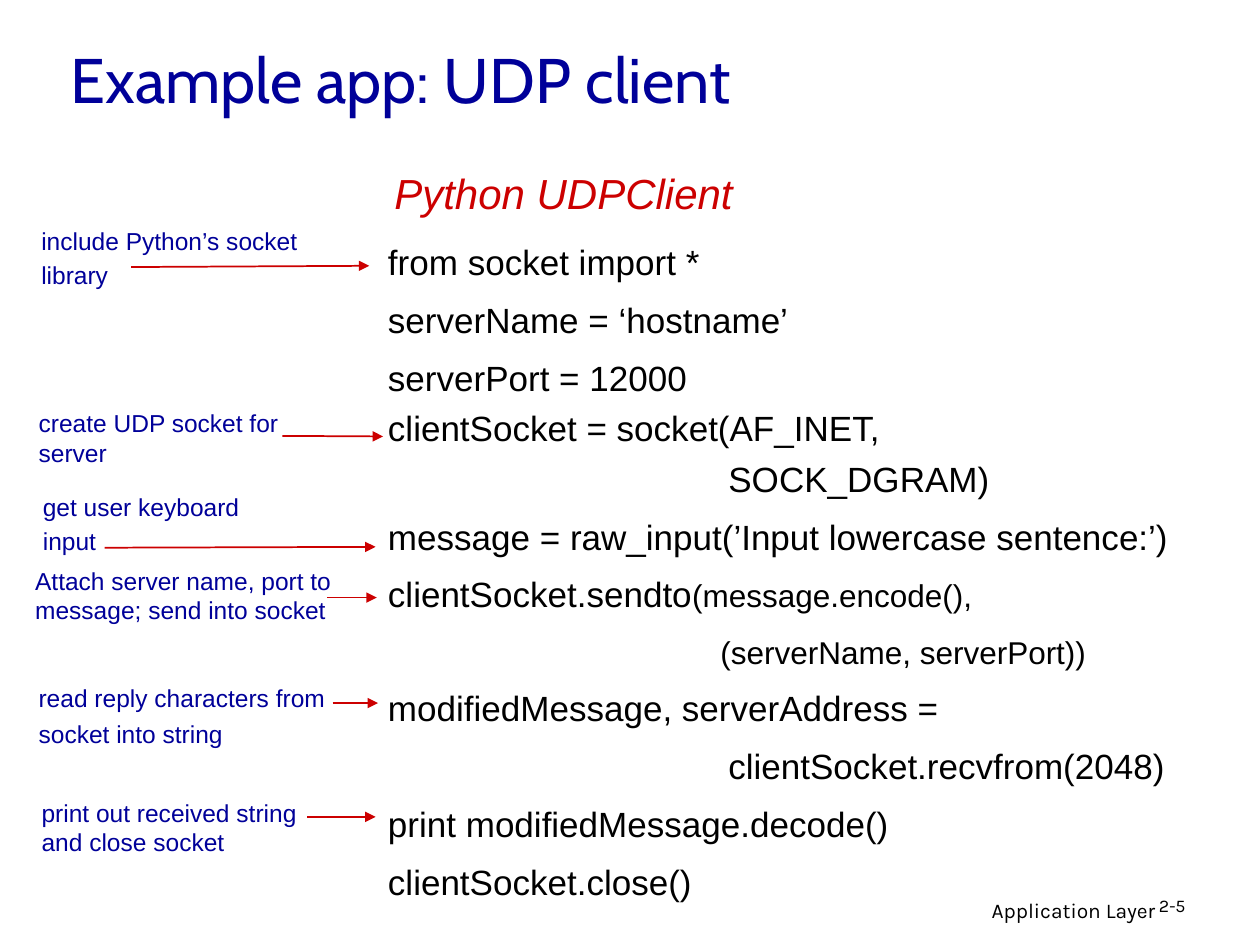
from dataclasses import dataclass

from lxml import etree
from pptx import Presentation
from pptx.dml import color
from pptx.enum import shapes, text
from pptx.oxml import ns
from pptx.util import Pt


@dataclass(frozen=True)
class Theme:
    navy: str = "000099"
    red: str = "CC0000"
    black: str = "000000"
    title_font: str = "Cabin"
    body_font: str = "Arial"
    footer_font: str = "Karla"
    title_size: float = 36
    heading_size: float = 24
    code_size: float = 20
    detail_size: float = 18
    note_size: float = 14
    footer_size: float = 12
    number_size: float = 10.2
    line_width: float = 1


class SlideBuilder:
    def __init__(self, presentation, theme):
        self.theme = theme
        self.slide = presentation.slides.add_slide(presentation.slide_layouts[5])

    def format_run(self, run, size, rgb, font, italic=False):
        run.font.size = Pt(size)
        run.font.name = font
        run.font.italic = italic
        run.font.color.rgb = color.RGBColor.from_string(rgb)

    def title(self, wording, left, top, width, height):
        shape = self.slide.shapes.title
        shape.left, shape.top = Pt(left), Pt(top)
        shape.width, shape.height = Pt(width), Pt(height)
        frame = shape.text_frame
        frame.text = wording
        frame.auto_size = text.MSO_AUTO_SIZE.NONE
        frame.vertical_anchor = text.MSO_ANCHOR.MIDDLE
        frame.paragraphs[0].alignment = text.PP_ALIGN.LEFT
        self.format_run(frame.paragraphs[0].runs[0], self.theme.title_size,
                        self.theme.navy, self.theme.title_font)

    def text_box(self, wording, box, size, rgb, font, before=0, spacing=None,
                 italic=False, align=text.PP_ALIGN.LEFT):
        shape = self.slide.shapes.add_textbox(*map(Pt, box))
        frame = shape.text_frame
        frame.text = wording
        frame.word_wrap = True
        for paragraph in frame.paragraphs:
            paragraph.alignment = align
            paragraph.space_before = Pt(before)
            if spacing:
                paragraph.line_spacing = spacing
            for run in paragraph.runs:
                self.format_run(run, size, rgb, font, italic)
        return frame

    def code(self, lines, box):
        theme = self.theme
        wording = "\n".join(line for line, _, _, _ in lines)
        frame = self.text_box(wording, box, theme.code_size, theme.black,
                              theme.body_font, before=5)
        for paragraph, (_, detail, indent, spacing) in zip(frame.paragraphs, lines):
            paragraph.line_spacing = Pt(spacing)
            if indent:
                properties = paragraph._p.get_or_add_pPr()
                properties.set("marL", str(Pt(indent)))
                properties.set("indent", "0")
            if detail:
                paragraph.space_before = Pt(4.5)
                run = paragraph.add_run()
                run.text = detail
                self.format_run(run, theme.detail_size, theme.black, theme.body_font)

    def note(self, wording, box, spacing):
        self.text_box(wording, box, self.theme.note_size, self.theme.navy,
                      self.theme.body_font, before=3.5, spacing=spacing)

    def arrow(self, start, end):
        connector = self.slide.shapes.add_connector(
            shapes.MSO_CONNECTOR.STRAIGHT, *map(Pt, start + end))
        connector.line.color.rgb = color.RGBColor.from_string(self.theme.red)
        connector.line.width = Pt(self.theme.line_width)
        tail = etree.SubElement(connector.line._get_or_add_ln(), ns.qn("a:tailEnd"))
        tail.set("type", "triangle")
        etree.SubElement(connector._element.spPr, ns.qn("a:effectLst"))


CALL_INDENT = 194.5
ARGUMENT_INDENT = 190

CODE_LINES = [
    ("from socket import *", "", 0, 28),
    ("serverName = ‘hostname’", "", 0, 28),
    ("serverPort = 12000", "", 0, 28),
    ("clientSocket = socket(AF_INET,", "", 0, 24),
    ("SOCK_DGRAM)", "", CALL_INDENT, 24),
    ("message = raw_input(’Input lowercase sentence:’)", "", 0, 28),
    ("clientSocket.sendto", "(message.encode(),", 0, 28),
    ("", "(serverName, serverPort))", ARGUMENT_INDENT, 28),
    ("modifiedMessage, serverAddress =", "", 0, 28),
    ("clientSocket.recvfrom(2048)", "", CALL_INDENT, 28),
    ("print modifiedMessage.decode()", "", 0, 28),
    ("clientSocket.close()", "", 0, 28),
]

NOTES = [
    ("include Python’s socket\nlibrary", (16.5, 126.4, 165, 43), Pt(16),
     (74.9, 152.6), (211, 151.9)),
    ("create UDP socket for server", (15, 229.7, 178.5, 41), None,
     (161.3, 249.1), (218.9, 249.4)),
    ("get user keyboard\ninput", (17.4, 278.3, 130, 43), Pt(16),
     (59.8, 313), (214.6, 312.5)),
    ("Attach server name, port to message; send into socket",
     (13, 319.9, 185, 41), None, (187, 341.5), (215.3, 341.5)),
    ("read reply characters from\nsocket into string", (15, 387, 185, 45), None,
     (190.1, 401.8), (216, 401.8)),
    ("print out received string and close socket", (16.7, 452.2, 185, 41), None,
     (175.7, 466.8), (214.6, 466.8)),
]

theme = Theme()
presentation = Presentation()
presentation.slide_width, presentation.slide_height = Pt(720), Pt(540)
builder = SlideBuilder(presentation, theme)

builder.title("Example app: UDP client", 33.1, 7, 612, 75)
builder.text_box("Application Layer", (439.2, 509.2, 228.2, 22), theme.footer_size,
                 theme.black, theme.footer_font, align=text.PP_ALIGN.RIGHT)
builder.text_box("2-5", (655.2, 509, 53.3, 22), theme.number_size,
                 theme.black, theme.footer_font, spacing=0.9)
builder.text_box("Python UDPClient", (218.2, 92.2, 220, 36), theme.heading_size,
                 theme.red, theme.body_font, before=6, italic=True)
builder.code(CODE_LINES, (214.6, 130, 475, 389))
for wording, box, spacing, start, end in NOTES:
    builder.note(wording, box, spacing)
    builder.arrow(start, end)

presentation.save("out.pptx")
